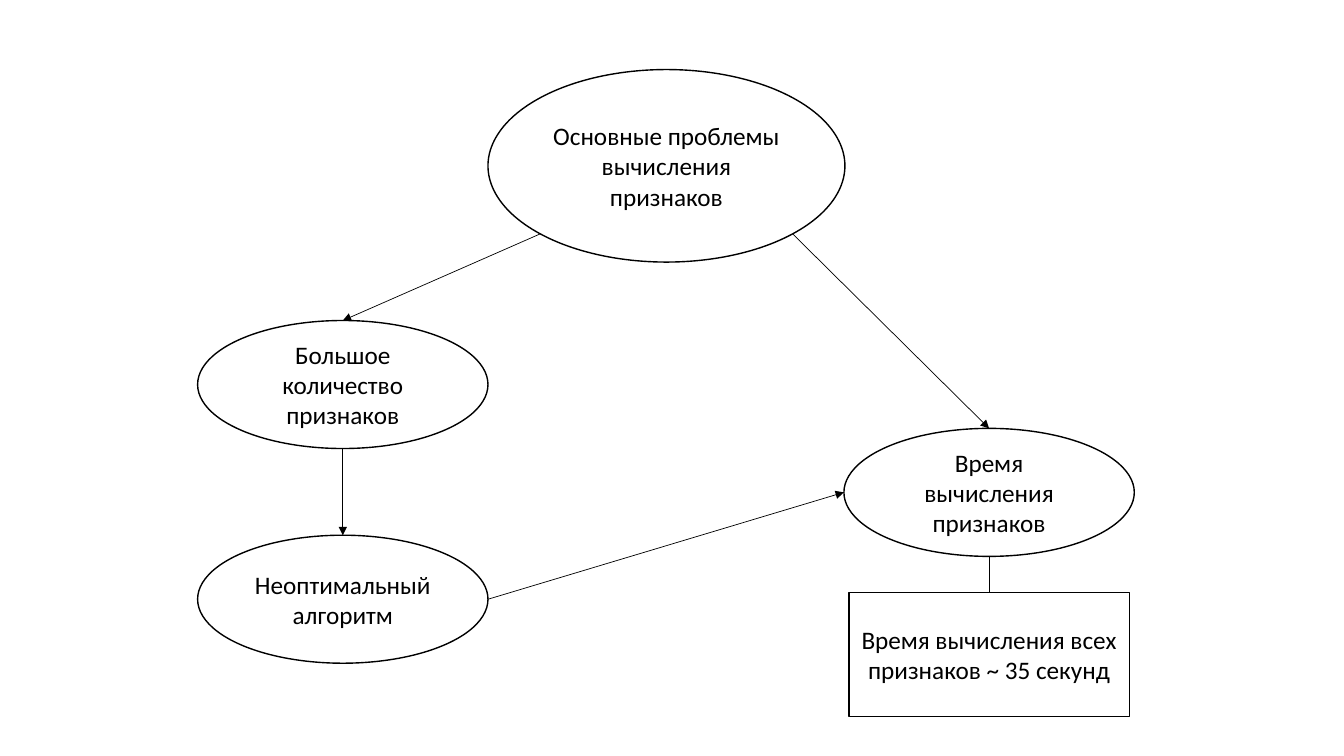
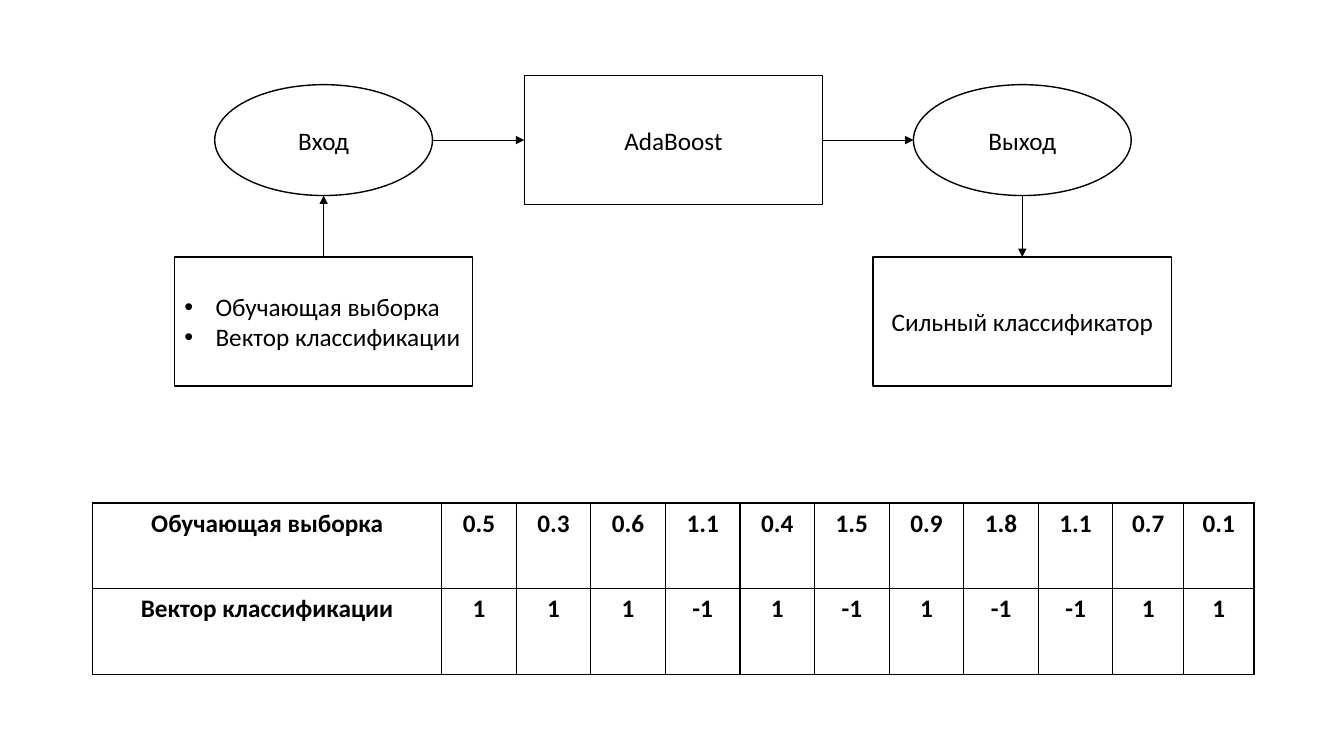
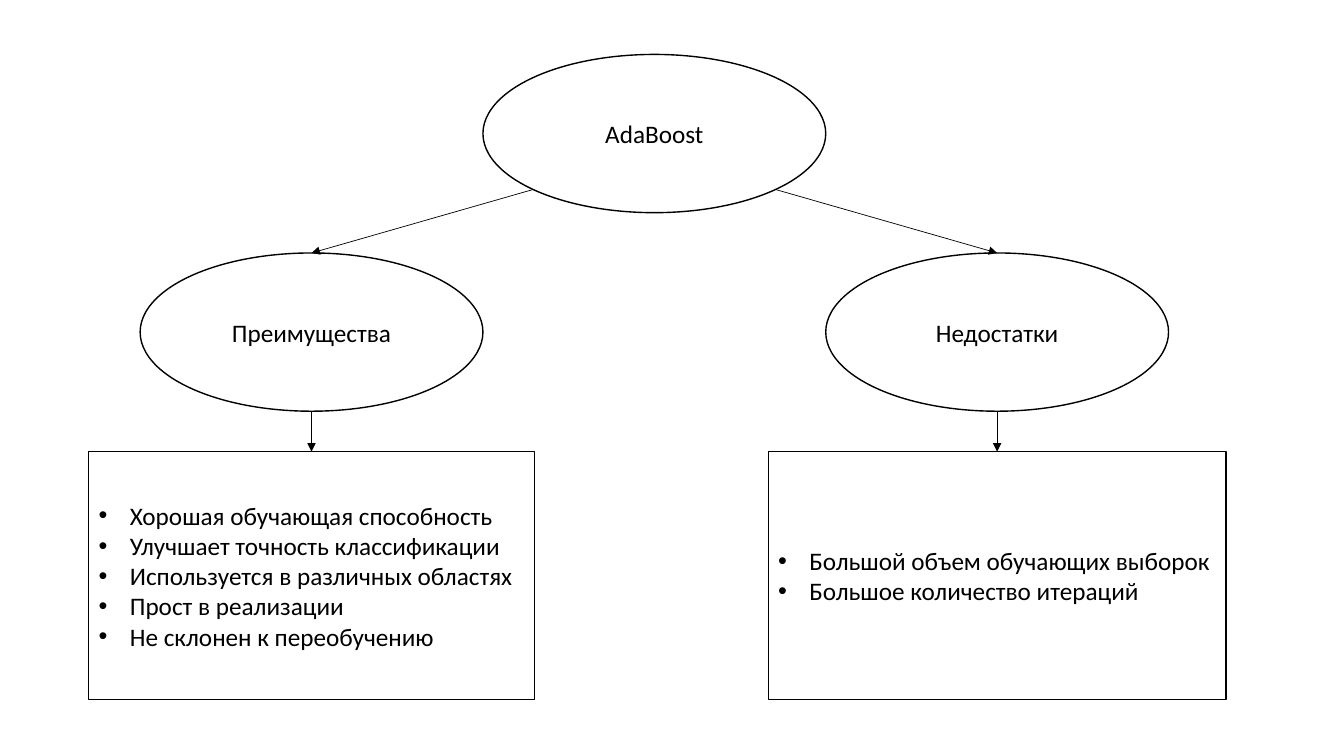
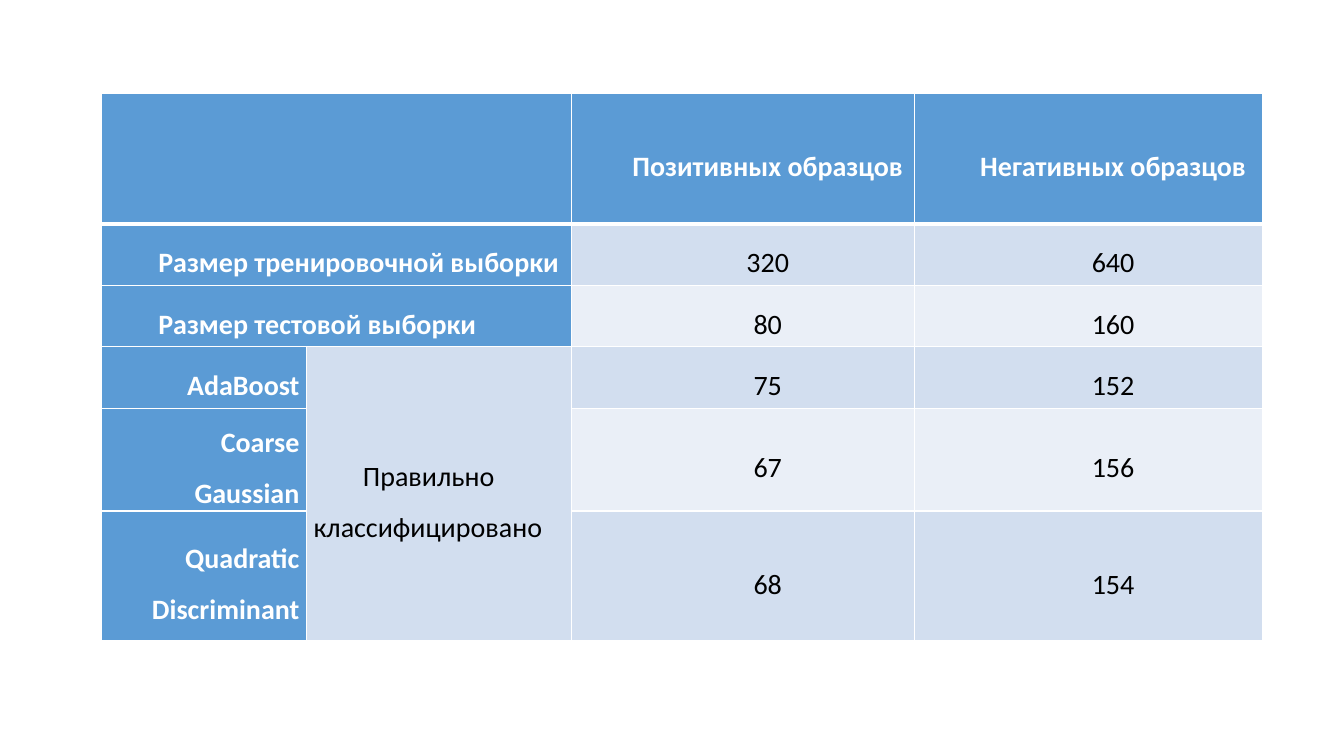
import dataclasses
import enum
import math
import typing

import lxml.etree
import pptx
import pptx.dml.color
import pptx.enum.shapes
import pptx.enum.text
import pptx.oxml.ns
import pptx.util

RGB = pptx.dml.color.RGBColor
ALIGN = pptx.enum.text.PP_ALIGN
ANCHOR = pptx.enum.text.MSO_ANCHOR
SHAPE = pptx.enum.shapes.MSO_SHAPE
Pt = pptx.util.Pt
qn = pptx.oxml.ns.qn

BLACK = RGB(0x00, 0x00, 0x00)
WHITE = RGB(0xFF, 0xFF, 0xFF)
BLUE = RGB(0x5B, 0x9B, 0xD5)
BAND_DARK = RGB(0xD2, 0xDE, 0xEF)
BAND_LIGHT = RGB(0xEA, 0xEF, 0xF7)

EMU_PER_PX = 9144
FONT = {"name": "Calibri", "size": Pt(18), "bold": False}
BULLET_INDENT = 31
FIRST_LINE = 49


class Side(enum.IntEnum):
    TOP = 0
    LEFT = 1
    BOTTOM = 2
    RIGHT = 3
    BOTTOM_LEFT = 4
    BOTTOM_RIGHT = 5


DIAGONAL = math.sqrt(0.5)
DIRECTIONS = {
    Side.TOP: (0, -1),
    Side.LEFT: (-1, 0),
    Side.BOTTOM: (0, 1),
    Side.RIGHT: (1, 0),
    Side.BOTTOM_LEFT: (-DIAGONAL, DIAGONAL),
    Side.BOTTOM_RIGHT: (DIAGONAL, DIAGONAL),
}


@dataclasses.dataclass(frozen=True)
class Node:
    x: int
    y: int
    w: int
    h: int
    lines: tuple[str, ...]
    oval: bool = True
    bullets: bool = False

    def point(self, side: Side) -> tuple[int, int]:
        dx, dy = DIRECTIONS[side]
        return (px(self.x + self.w / 2 * (1 + dx)),
                px(self.y + self.h / 2 * (1 + dy)))


@dataclasses.dataclass(frozen=True)
class Link:
    start: str
    start_side: Side
    end: str
    end_side: Side
    arrow: bool = True


def px(n: float) -> int:
    return round(n * EMU_PER_PX)


def set_format(obj: typing.Any, values: dict[str, typing.Any]) -> None:
    for name, value in values.items():
        setattr(obj, name, value)


def add_run(p: typing.Any, text: str, color: RGB, **font: typing.Any) -> None:
    r = p.add_run()
    r.text = text
    set_format(r.font, FONT | font)
    r.font.color.rgb = color


def add_bullet(p: typing.Any) -> None:
    pPr = p._p.get_or_add_pPr()
    pPr.set("marL", str(px(BULLET_INDENT)))
    pPr.set("indent", str(-px(BULLET_INDENT)))
    lxml.etree.SubElement(pPr, qn("a:buFont"), typeface="Arial")
    lxml.etree.SubElement(pPr, qn("a:buChar"), char="•")


def draw_node(slide: typing.Any, node: Node) -> typing.Any:
    kind = SHAPE.OVAL if node.oval else SHAPE.RECTANGLE
    sp = slide.shapes.add_shape(kind, px(node.x), px(node.y), px(node.w), px(node.h))
    sp.shadow.inherit = False
    sp.fill.solid()
    sp.fill.fore_color.rgb = WHITE
    sp.line.color.rgb = BLACK
    sp.line.width = Pt(1)
    tf = sp.text_frame
    set_format(tf, {"word_wrap": True, "vertical_anchor": ANCHOR.MIDDLE})
    for i, text in enumerate(node.lines):
        p = tf.add_paragraph() if i else tf.paragraphs[0]
        p.alignment = ALIGN.JUSTIFY if node.bullets else ALIGN.CENTER
        if node.bullets:
            add_bullet(p)
        add_run(p, text, BLACK)
    return sp


def draw_link(slide: typing.Any, link: Link, nodes: dict[str, Node],
              shapes: dict[str, typing.Any]) -> None:
    cxn = slide.shapes.add_connector(
        pptx.enum.shapes.MSO_CONNECTOR.STRAIGHT,
        *nodes[link.start].point(link.start_side),
        *nodes[link.end].point(link.end_side))
    for join, name, side in ((cxn.begin_connect, link.start, link.start_side),
                             (cxn.end_connect, link.end, link.end_side)):
        if side == Side.TOP or not nodes[name].oval:
            join(shapes[name], int(side))
    cxn.line.color.rgb = BLACK
    cxn.line.width = Pt(0.5)
    lxml.etree.SubElement(cxn._element.spPr, qn("a:effectLst"))
    if link.arrow:
        lxml.etree.SubElement(cxn.line._get_or_add_ln(), qn("a:tailEnd"), type="triangle")


def draw_diagram(prs: typing.Any, nodes: dict[str, Node], links: list[Link]) -> typing.Any:
    slide = add_slide(prs)
    shapes = {name: draw_node(slide, node) for name, node in nodes.items()}
    for link in links:
        draw_link(slide, link, nodes, shapes)
    return slide


def add_slide(prs: typing.Any) -> typing.Any:
    return prs.slides.add_slide(prs.slide_layouts[6])


def add_grid(slide: typing.Any, x: int, y: int, cols: list[int], rows: list[int]) -> typing.Any:
    table = slide.shapes.add_table(len(rows), len(cols), px(x), px(y),
                                   px(sum(cols)), px(sum(rows))).table
    set_format(table, {"first_row": False, "horz_banding": False})
    for col, width in zip(table.columns, cols):
        col.width = px(width)
    for row, height in zip(table.rows, rows):
        row.height = px(height)
    return table


def style_cell(cell: typing.Any, fill: RGB, border: RGB, top: int = 1, bottom: int = 1) -> None:
    tcPr = cell._tc.get_or_add_tcPr()
    for edge, width in (("L", 1), ("R", 1), ("T", top), ("B", bottom)):
        ln = lxml.etree.SubElement(tcPr, qn(f"a:ln{edge}"), w=str(Pt(width)))
        solid = lxml.etree.SubElement(ln, qn("a:solidFill"))
        lxml.etree.SubElement(solid, qn("a:srgbClr"), val=str(border))
    cell.fill.solid()
    cell.fill.fore_color.rgb = fill


def draw_problems(prs: typing.Any) -> None:
    nodes = {
        "root": Node(484, 69, 354, 191, ("Основные проблемы вычисления признаков",)),
        "count": Node(196, 318, 288, 127, ("Большое количество признаков",)),
        "time": Node(837, 425, 288, 127, ("Время вычисления признаков",)),
        "algorithm": Node(196, 531, 288, 127, ("Неоптимальный алгоритм",)),
        "seconds": Node(842, 588, 278, 123,
                        ("Время вычисления всех признаков ~ 35 секунд",), oval=False),
    }
    draw_diagram(prs, nodes, [
        Link("root", Side.BOTTOM_LEFT, "count", Side.TOP),
        Link("root", Side.BOTTOM_RIGHT, "time", Side.TOP),
        Link("count", Side.BOTTOM, "algorithm", Side.TOP),
        Link("algorithm", Side.RIGHT, "time", Side.LEFT),
        Link("time", Side.BOTTOM, "seconds", Side.TOP, arrow=False),
    ])


def draw_training(prs: typing.Any) -> None:
    labels = ("Обучающая выборка", "Вектор классификации")
    nodes = {
        "input": Node(213, 84, 216, 110, ("Вход",)),
        "data": Node(173, 255, 296, 128, labels, oval=False, bullets=True),
        "boost": Node(520, 75, 296, 128, ("AdaBoost",), oval=False),
        "output": Node(906, 84, 216, 110, ("Выход",)),
        "strong": Node(866, 255, 296, 128, ("Сильный классификатор",), oval=False),
    }
    slide = draw_diagram(prs, nodes, [
        Link("data", Side.TOP, "input", Side.BOTTOM),
        Link("input", Side.RIGHT, "boost", Side.LEFT),
        Link("boost", Side.RIGHT, "output", Side.LEFT),
        Link("output", Side.BOTTOM, "strong", Side.TOP),
    ])
    values = ("0.5 0.3 0.6 1.1 0.4 1.5 0.9 1.8 1.1 0.7 0.1", "1 1 1 -1 1 -1 1 -1 -1 1 1")
    table = add_grid(slide, 92, 499, [346] + [74] * 9 + [70] * 2, [85, 85])
    for r, (label, row) in enumerate(zip(labels, values)):
        for c, text in enumerate([label, *row.split()]):
            cell = table.cell(r, c)
            style_cell(cell, WHITE, BLACK)
            p = cell.text_frame.paragraphs[0]
            p.alignment = ALIGN.CENTER
            add_run(p, text, BLACK, bold=True)


def draw_pros_and_cons(prs: typing.Any) -> None:
    pros = ("Хорошая обучающая способность", "Улучшает точность классификации",
            "Используется в различных областях", "Прост в реализации",
            "Не склонен к переобучению")
    cons = ("Большой объем обучающих выборок", "Большое количество итераций")
    nodes = {
        "boost": Node(479, 54, 340, 157, ("AdaBoost",)),
        "pros": Node(139, 251, 340, 157, ("Преимущества",)),
        "cons": Node(819, 251, 340, 157, ("Недостатки",)),
        "pros list": Node(88, 448, 442, 246, pros, oval=False, bullets=True),
        "cons list": Node(762, 448, 454, 246, cons, oval=False, bullets=True),
    }
    draw_diagram(prs, nodes, [
        Link("boost", Side.BOTTOM_LEFT, "pros", Side.TOP),
        Link("boost", Side.BOTTOM_RIGHT, "cons", Side.TOP),
        Link("pros", Side.BOTTOM, "pros list", Side.TOP),
        Link("cons", Side.BOTTOM, "cons list", Side.TOP),
    ])


def result_align(r: int, c: int) -> typing.Any:
    if c >= 2:
        return ALIGN.CENTER
    return ALIGN.RIGHT if c == 0 and r >= 3 else ALIGN.JUSTIFY


def draw_results(prs: typing.Any) -> None:
    rows = [
        ("", "", "Позитивных образцов", "Негативных образцов"),
        ("Размер тренировочной выборки", "", "320", "640"),
        ("Размер тестовой выборки", "", "80", "160"),
        ("AdaBoost", "Правильно классифицировано", "75", "152"),
        ("Coarse Gaussian", "", "67", "156"),
        ("Quadratic Discriminant", "", "68", "154"),
    ]
    table = add_grid(add_slide(prs), 101, 93, [203, 263, 340, 345],
                     [129, 61, 61, 61, 102, 129])
    for r, row in enumerate(rows):
        for c, text in enumerate(row):
            cell = table.cell(r, c)
            head = r == 0 or c == 0
            band = BAND_DARK if r % 2 else BAND_LIGHT
            style_cell(cell, BLUE if head else band, WHITE,
                       top=3 if r == 1 else 1, bottom=3 if r == 0 else 1)
            set_format(cell, {"vertical_anchor": ANCHOR.MIDDLE,
                              "margin_left": px(7), "margin_right": px(7),
                              "margin_top": 0, "margin_bottom": 0})
            if text:
                p = cell.text_frame.paragraphs[0]
                set_format(p, {"alignment": result_align(r, c),
                               "line_spacing": 1.5, "space_after": Pt(6)})
                pPr = p._p.get_or_add_pPr()
                pPr.set("marL", "0")
                pPr.set("indent", str(px(FIRST_LINE)))
                add_run(p, text, WHITE if head else BLACK, size=Pt(20), bold=head)
    for r in range(3):
        table.cell(r, 0).merge(table.cell(r, 1))
    table.cell(3, 1).merge(table.cell(5, 1))


def main() -> None:
    prs = pptx.Presentation()
    set_format(prs, {"slide_width": px(1333), "slide_height": px(750)})
    for draw in (draw_problems, draw_training, draw_pros_and_cons, draw_results):
        draw(prs)
    prs.save("out.pptx")


if __name__ == "__main__":
    main()
